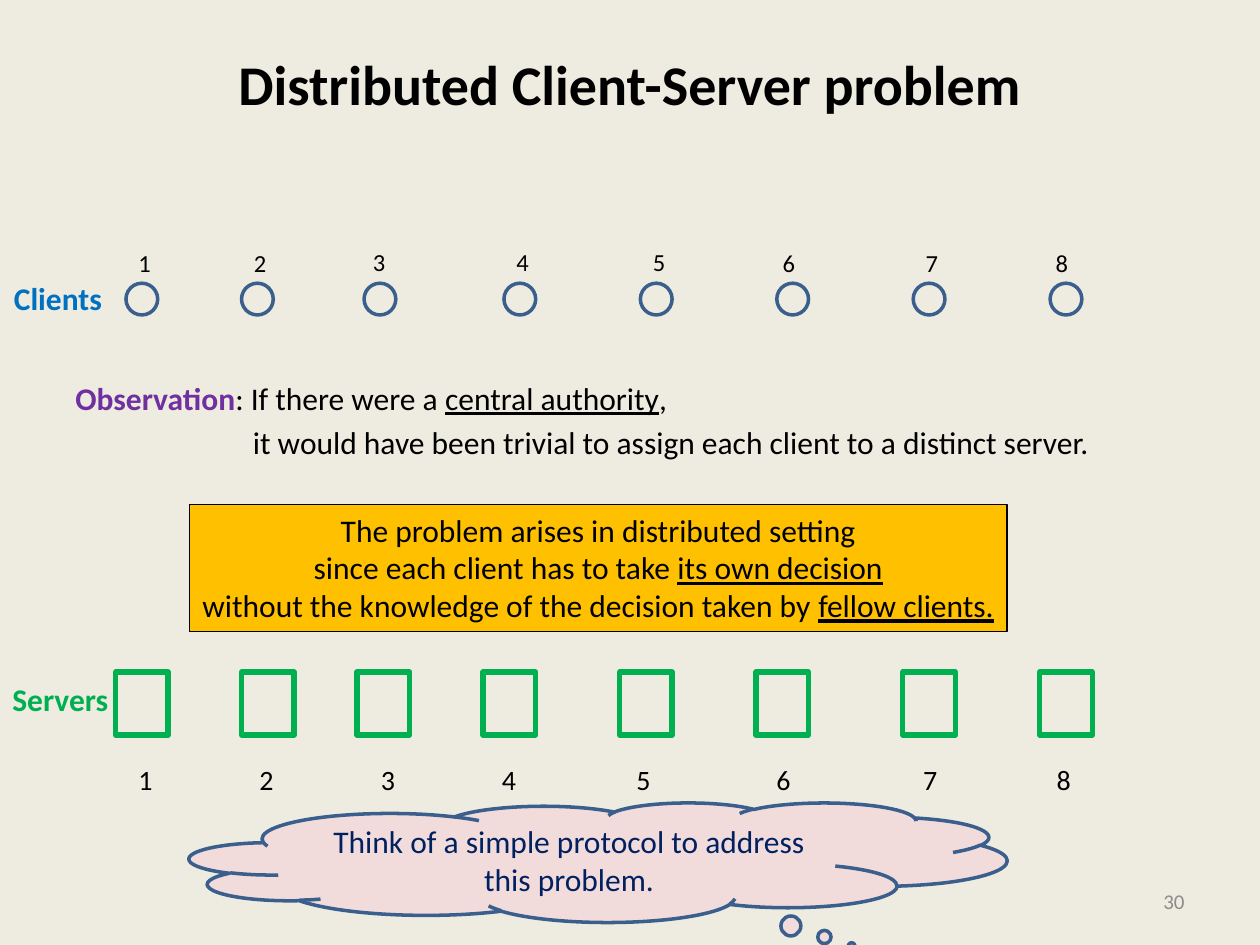
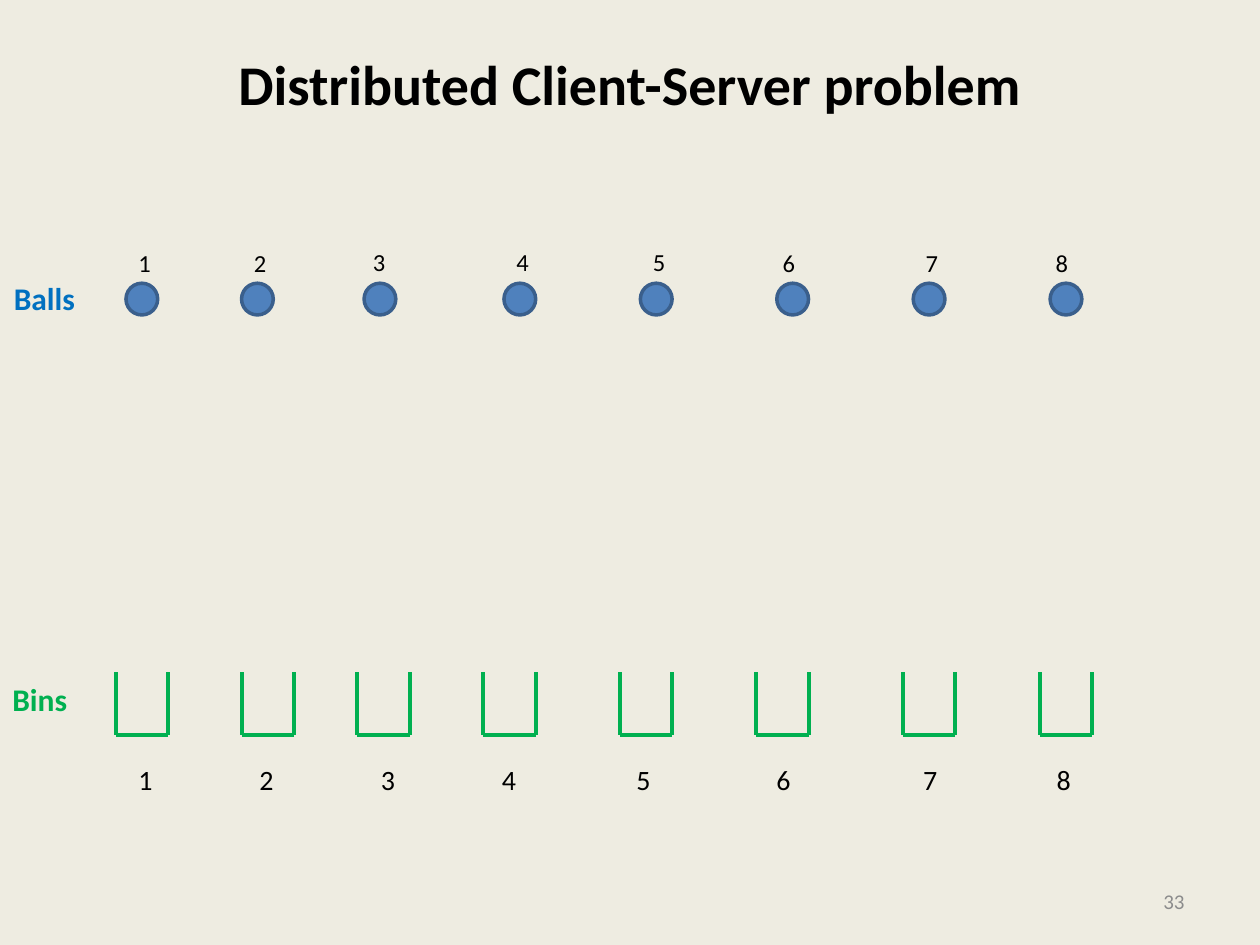
from lxml import etree
from pptx import Presentation
from pptx import util as u
from pptx.dml.color import RGBColor
from pptx.enum import shapes, text
from pptx.oxml.ns import qn

INK, PAPER, GREY = "000000", "EEECE1", "8C8C8C"
BLUE, GREEN, PURPLE, NAVY = "0070C0", "00B050", "7030A0", "002060"
EDGE, BALL, GOLD, PINK = "3A5F8C", "4F81BD", "FFC000", "F2DCDB"

# Places in cm
BALL_X = [2.54, 4.87, 7.34, 10.16, 12.91, 15.66, 18.41, 21.17]
NUM_X = [2.54, 4.87, 7.27, 10.16, 12.91, 15.53, 18.41, 21.03]
BIN_X = [2.33, 4.87, 7.2, 9.74, 12.49, 15.24, 18.2, 20.96]
TABS = [2.44, 4.89, 7.33, 10.04, 12.86, 15.82, 18.51]
BIN_Y, BIN_W, BIN_H = 13.55, 1.06, 1.27

LEFT, MID, RIGHT = (text.PP_ALIGN.LEFT, text.PP_ALIGN.CENTER,
                    text.PP_ALIGN.RIGHT)
TOP, CORE = text.MSO_ANCHOR.TOP, text.MSO_ANCHOR.MIDDLE
KIND = shapes.MSO_SHAPE


def rgb(code):
    return RGBColor.from_string(code)


def write(shape, *paras, size=18, color=INK, bold=False, align=LEFT,
          anchor=TOP, wrap=True, gap=0, dents=(), tabs=()):
    """Each paragraph is a string or a list of (string, run format)."""
    frame = shape.text_frame
    frame.word_wrap, frame.vertical_anchor = wrap, anchor
    for i, para in enumerate(paras):
        p = frame.add_paragraph() if i else frame.paragraphs[0]
        p.alignment = align
        props = p._p.get_or_add_pPr()
        if i and gap:
            p.space_before = u.Pt(gap)
        if dents:
            props.set("marL", str(u.Cm(dents[i])))
        if tabs:
            stops = etree.SubElement(props, qn("a:tabLst"))
            for x in tabs:
                etree.SubElement(stops, qn("a:tab"), pos=str(u.Cm(x)), algn="l")
        for part, form in [(para, {})] if isinstance(para, str) else para:
            run = p.add_run()
            run.text = part
            font = run.font
            font.name, font.size = "Calibri", u.Pt(size)
            font.bold = form.get("bold", bold)
            font.underline = form.get("line", False)
            font.color.rgb = rgb(form.get("color", color))


class Deck:
    def __init__(self):
        self.prs = Presentation()
        self.prs.slide_width, self.prs.slide_height = u.Cm(25.4), u.Cm(19.05)
        self.page = None

    def slide(self, title, num):
        self.page = self.prs.slides.add_slide(self.prs.slide_layouts[6])
        fill = self.page.background.fill
        fill.solid()
        fill.fore_color.rgb = rgb(PAPER)
        head = self.label(1.27, 0.76, 22.86, 3.18, title, size=32, bold=True,
                          align=MID)
        head.text_frame.margin_top = u.Cm(0.24)
        self.label(18.2, 17.66, 5.93, 1.01, num, size=12, color=GREY,
                   align=RIGHT, anchor=CORE)

    def label(self, x, y, w, h, *paras, **form):
        box = self.page.shapes.add_textbox(u.Cm(x), u.Cm(y), u.Cm(w), u.Cm(h))
        write(box, *paras, **form)
        return box

    def shape(self, kind, x, y, w, h, fill=None, line=EDGE, width=2):
        item = self.page.shapes.add_shape(kind, u.Cm(x), u.Cm(y), u.Cm(w),
                                          u.Cm(h))
        item.shadow.inherit = False
        if fill:
            item.fill.solid()
            item.fill.fore_color.rgb = rgb(fill)
        else:
            item.fill.background()
        item.line.color.rgb = rgb(line)
        item.line.width = u.Pt(width)
        return item

    def line(self, x1, y1, x2, y2):
        item = self.page.shapes.add_connector(
            shapes.MSO_CONNECTOR.STRAIGHT, u.Cm(x1), u.Cm(y1), u.Cm(x2),
            u.Cm(y2))
        item.line.color.rgb = rgb(GREEN)
        item.line.width = u.Pt(2.25)
        etree.SubElement(item._element.spPr, qn("a:effectLst"))

    def balls(self, name, width, fill=None):
        """Upper row: numbered circles and the row's name."""
        for i, (x, left) in enumerate(zip(BALL_X, NUM_X), 1):
            self.shape(KIND.OVAL, x, 5.71, 0.64, 0.64, fill)
            y = 4.85 if i in (3, 4, 5) else 4.88
            self.label(left, y, 0.76, 0.86, str(i), size=14, wrap=False)
        self.label(0.03, 5.51, width, 1.02, name, color=BLUE, bold=True,
                   wrap=False)

    def bins(self, name, width, closed=False):
        """Lower row: open bins, boxed if closed, with numbers and name."""
        low = BIN_Y + BIN_H
        for x in BIN_X:
            far = x + BIN_W
            self.line(x, BIN_Y, x, low)
            self.line(far, BIN_Y, far, low)
            self.line(x, low, far, low)
        self.label(2.54, 15.24, 19.48, 0.94, "\t".join("12345678"), size=16,
                   tabs=TABS)
        for x in BIN_X if closed else []:
            self.shape(KIND.RECTANGLE, x, BIN_Y, BIN_W, BIN_H, line=GREEN,
                       width=3)
        self.label(0, 13.59, width, 1.02, name, color=GREEN, bold=True,
                   wrap=False)


def main():
    deck = Deck()
    title = "Distributed Client-Server problem"
    under = {"line": True}

    # Clients and servers
    deck.slide(title, "30")
    deck.label(1.27, 7.51, 22.86, 2,
               [("Observation", {"bold": True, "color": PURPLE}),
                (": If there were a ", {}), ("central authority", under),
                (",", {})],
               "it would have been trivial to assign each client to a "
               "distinct server.", gap=3.6, dents=(0, 3.58))
    deck.balls("Clients", 2.29)
    deck.bins("Servers", 2.46, closed=True)
    note = deck.shape(KIND.RECTANGLE, 3.82, 10.17, 16.48, 2.56, GOLD, INK, 0.75)
    write(note, "The problem arises in distributed setting",
          [("since each client has to take ", {}), ("its own decision", under)],
          [("without the knowledge of the decision taken by ", {}),
           ("fellow clients.", under)], align=MID, wrap=False)
    cloud = deck.shape(KIND.CLOUD_CALLOUT, 3.82, 16.18, 16.48, 2.41, PINK)
    cloud.adjustments[0], cloud.adjustments[1] = 0.31, 0.7
    write(cloud, "Think of a simple protocol to address this problem.",
          color=NAVY, align=MID, anchor=CORE)

    # Balls and bins
    deck.slide(title, "33")
    deck.balls("Balls", 1.75, BALL)
    deck.bins("Bins", 1.63)

    deck.prs.save("out.pptx")


if __name__ == "__main__":
    main()
